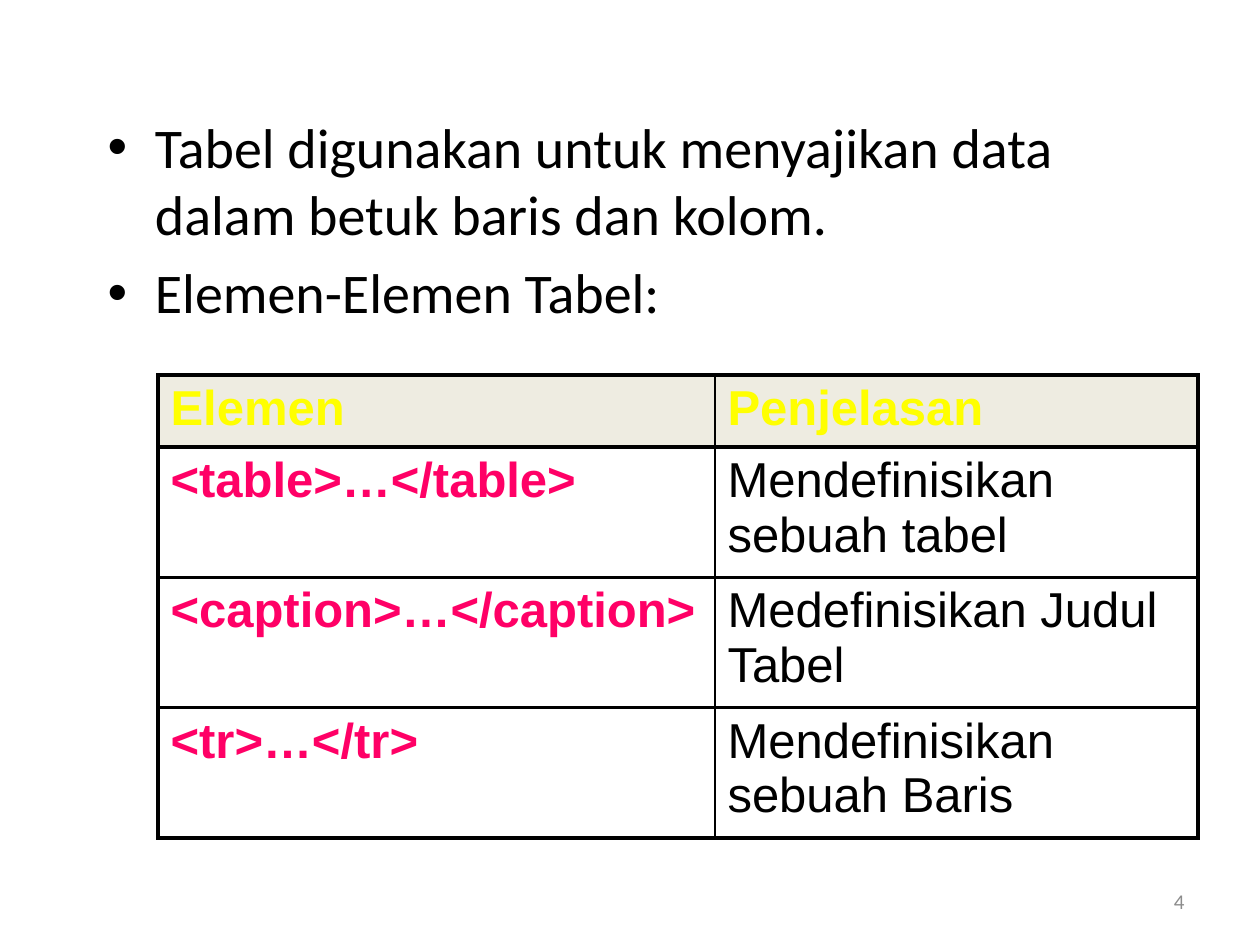
"""Build a slide that introduces the HTML table elements."""
from lxml.etree import SubElement
from pptx import Presentation
from pptx.dml.color import RGBColor
from pptx.enum.text import MSO_ANCHOR, MSO_AUTO_SIZE, PP_ALIGN
from pptx.oxml.ns import qn
from pptx.util import Emu, Pt

BLACK = RGBColor(0x00, 0x00, 0x00)
GRAY = RGBColor(0x8C, 0x8C, 0x8C)
YELLOW = RGBColor(0xFF, 0xFF, 0x00)
PINK = RGBColor(0xFF, 0x00, 0x66)
BEIGE = RGBColor(0xEE, 0xEC, 0xE1)

BULLETS = [
    "Tabel digunakan untuk menyajikan data dalam betuk baris dan kolom.",
    "Elemen-Elemen Tabel:",
]
ROWS = [
    ("Elemen", "Penjelasan"),
    ("<table>…</table>", "Mendefinisikan sebuah tabel"),
    ("<caption>…</caption>", "Medefinisikan Judul Tabel"),
    ("<tr>…</tr>", "Mendefinisikan sebuah Baris"),
]
PAGE_NUMBER = "4"

SLIDE_SIZE = (1260, 945)
BODY_BOX = (95, 106, 1071, 231)
NUMBER_BOX = (903, 876, 294, 50)
TABLE_ORIGIN = (158, 375)
COLUMN_WIDTHS = (557, 483)
ROW_HEIGHTS = (72, 130, 130, 122)
OUTER_LINE, INNER_LINE = Pt(2.25), Pt(1)


def px(length):
    return Emu(round(length * 914400 / 126))


def format_runs(paragraph, size, name, color, bold=False):
    for run in paragraph.runs:
        font = run.font
        font.size, font.name, font.bold = Pt(size), name, bold
        font.color.rgb = color


def add_bullets(slide):
    body = slide.placeholders[1]
    body.left, body.top, body.width, body.height = map(px, BODY_BOX)
    frame = body.text_frame
    frame.text = "\n".join(BULLETS)
    frame.auto_size = MSO_AUTO_SIZE.NONE
    frame.paragraphs[0].space_before = Pt(0)
    for paragraph in frame.paragraphs:
        format_runs(paragraph, 32, "Calibri", BLACK)


def set_borders(cell, widths):
    properties = cell._tc.get_or_add_tcPr()
    for side, width in widths.items():
        line = SubElement(properties, qn(f"a:ln{side}"), w=str(width))
        fill = SubElement(line, qn("a:solidFill"))
        SubElement(fill, qn("a:srgbClr"), val=str(BLACK))


def add_element_table(slide):
    size = (sum(COLUMN_WIDTHS), sum(ROW_HEIGHTS))
    table = slide.shapes.add_table(
        len(ROWS), len(COLUMN_WIDTHS), *map(px, TABLE_ORIGIN + size)
    ).table
    table.first_row = table.horz_banding = False
    for column, width in zip(table.columns, COLUMN_WIDTHS):
        column.width = px(width)
    for row_index, texts in enumerate(ROWS):
        table.rows[row_index].height = px(ROW_HEIGHTS[row_index])
        is_header = row_index == 0
        for column_index, text in enumerate(texts):
            is_first = column_index == 0
            cell = table.cell(row_index, column_index)
            cell.text = text
            color = YELLOW if is_header else PINK if is_first else BLACK
            format_runs(cell.text_frame.paragraphs[0], 28, "Arial", color,
                        bold=is_header or is_first)
            set_borders(cell, {
                "L": OUTER_LINE if is_first else INNER_LINE,
                "R": INNER_LINE if is_first else OUTER_LINE,
                "T": OUTER_LINE,
                "B": OUTER_LINE,
            })
            if is_header:
                cell.fill.solid()
                cell.fill.fore_color.rgb = BEIGE
            else:
                cell.fill.background()


def add_page_number(slide):
    frame = slide.shapes.add_textbox(*map(px, NUMBER_BOX)).text_frame
    frame.text = PAGE_NUMBER
    frame.word_wrap = True
    frame.vertical_anchor = MSO_ANCHOR.MIDDLE
    paragraph = frame.paragraphs[0]
    paragraph.alignment = PP_ALIGN.RIGHT
    format_runs(paragraph, 12, "Calibri", GRAY)


def main():
    presentation = Presentation()
    presentation.slide_width, presentation.slide_height = map(px, SLIDE_SIZE)
    slide = presentation.slides.add_slide(presentation.slide_layouts[1])
    title = slide.shapes.title.element
    title.getparent().remove(title)
    add_page_number(slide)
    add_bullets(slide)
    add_element_table(slide)
    presentation.save("out.pptx")


if __name__ == "__main__":
    main()
